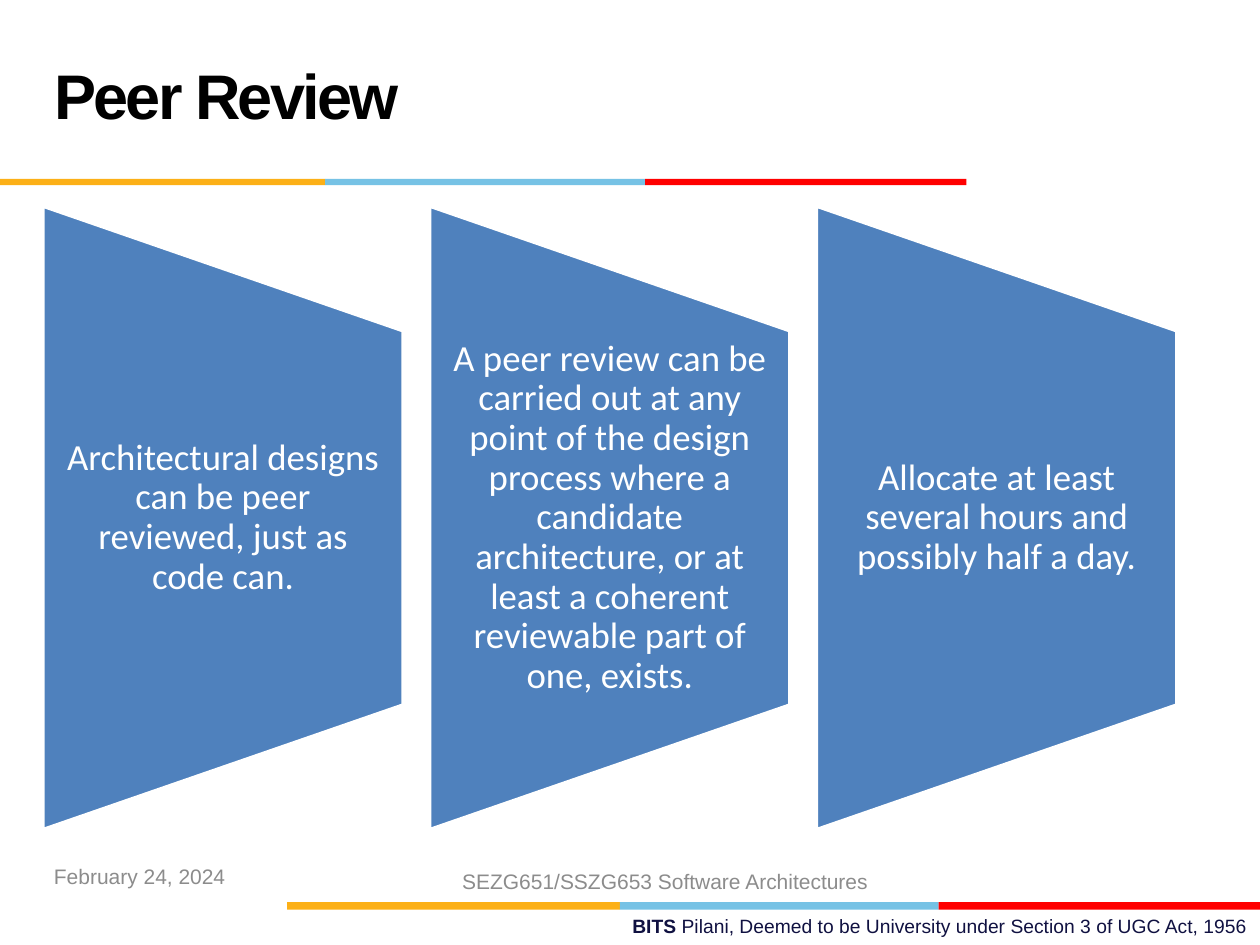
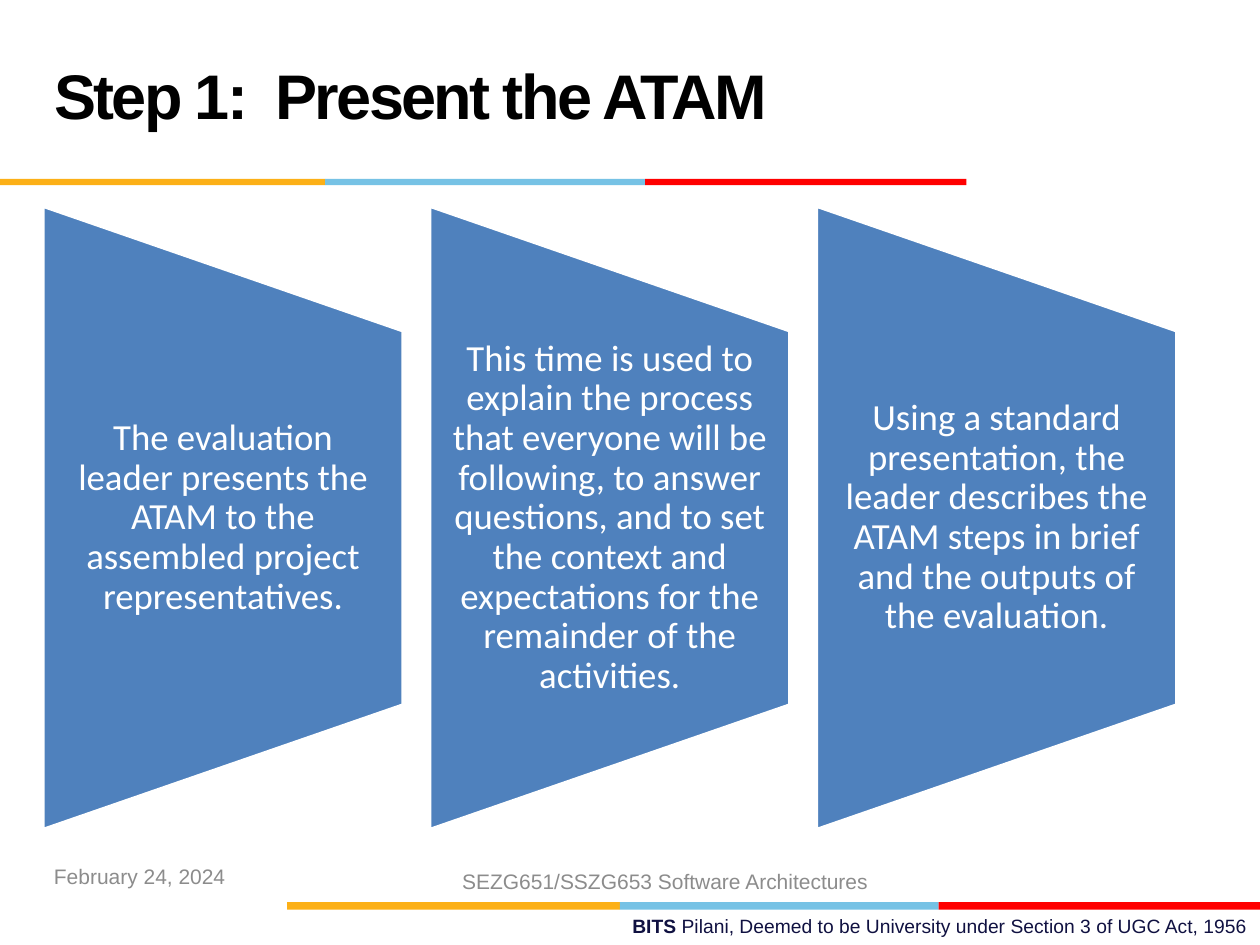
from pptx import Presentation
from pptx.dml.color import RGBColor
from pptx.enum.shapes import MSO_SHAPE
from pptx.enum.text import MSO_ANCHOR, MSO_AUTO_SIZE, PP_ALIGN
from pptx.util import Inches, Pt

LEFT, CENTER, RIGHT = PP_ALIGN.LEFT, PP_ALIGN.CENTER, PP_ALIGN.RIGHT
TOP, MIDDLE = MSO_ANCHOR.TOP, MSO_ANCHOR.MIDDLE
NO_AUTOFIT = MSO_AUTO_SIZE.NONE
RECTANGLE = MSO_SHAPE.RECTANGLE
TRAPEZOID = MSO_SHAPE.FLOWCHART_MANUAL_OPERATION

# Shared colours and fonts
AMBER, SKY, RED = "FCB017", "76C2E5", "FF0000"
PANEL_BLUE, WHITE, BLACK = "4F81BD", "FFFFFF", "000000"
NAVY, GREY = "101141", "8C8C8C"
HEADING_FONT, PANEL_FONT = "Arial", "Calibri"

# Left edges of the three stripe colours, then the right end
HEADER_STRIPE = (0, 2.58, 5.12, 7.67)
FOOTER_STRIPE = (2.28, 4.92, 7.45, 10)

# Panel row
PANEL_LEFT, PANEL_PITCH = 0.34, 3.07
PANEL_WIDTH, PANEL_HEIGHT = 2.86, 4.95
PANEL_MIDDLE = 4.11
PANEL_TEXT_HEIGHT = 2.97

SLIDES = [
    ("Peer Review", [
        "Architectural designs can be peer reviewed, just as code can.",
        "A peer review can be carried out at any point of the design process "
        "where a candidate architecture, or at least a coherent reviewable "
        "part of one, exists.",
        "Allocate at least several hours and possibly half a day.",
    ]),
    ("Step 1:  Present the ATAM", [
        "The evaluation leader presents the ATAM to the assembled project "
        "representatives.",
        "This time is used to explain the process that everyone will be "
        "following, to answer questions, and to set the context and "
        "expectations for the remainder of the activities.",
        "Using a standard presentation, the leader describes the ATAM steps "
        "in brief and the outputs of the evaluation.",
    ]),
]


def color(hex_code):
    return RGBColor.from_string(hex_code)


def write(frame, *parts, size, fill, font=HEADING_FONT, bold=False,
          align=LEFT, anchor=MIDDLE, line_spacing=None, tracking=None):
    """Fill a frame with one paragraph; a (text, bold) part sets its own weight."""
    frame.word_wrap = True
    frame.auto_size = NO_AUTOFIT
    frame.vertical_anchor = anchor
    paragraph = frame.paragraphs[0]
    paragraph.alignment = align
    if line_spacing:
        paragraph.line_spacing = line_spacing
    for part in parts:
        text, weight = (part, bold) if isinstance(part, str) else part
        run = paragraph.add_run()
        run.text = text
        run.font.name = font
        run.font.size = Pt(size)
        run.font.bold = weight
        run.font.color.rgb = color(fill)
        if tracking:
            run._r.get_or_add_rPr().set("spc", str(round(tracking * 100)))


def add_text(slide, left, top, width, height, *parts, side_inset=None, **style):
    frame = slide.shapes.add_textbox(
        Inches(left), Inches(top), Inches(width), Inches(height)).text_frame
    if side_inset is not None:
        frame.margin_left = frame.margin_right = Inches(side_inset)
        frame.margin_top = frame.margin_bottom = 0
    write(frame, *parts, **style)


def add_block(slide, kind, left, top, width, height, fill, outline=None):
    block = slide.shapes.add_shape(
        kind, Inches(left), Inches(top), Inches(width), Inches(height))
    block.shadow.inherit = False
    block.fill.solid()
    block.fill.fore_color.rgb = color(fill)
    if outline:
        block.line.color.rgb = color(outline)
        block.line.width = Pt(2)
    else:
        block.line.fill.background()
    return block


def add_stripe(slide, edges, top, height):
    for start, end, fill in zip(edges, edges[1:], (AMBER, SKY, RED)):
        add_block(slide, RECTANGLE, start, top, end - start, height, fill)


def add_title(slide, text):
    title = slide.shapes.title
    title.left, title.top = Inches(0.33), Inches(0.17)
    title.width, title.height = Inches(6.92), Inches(1.25)
    write(title.text_frame, text, size=36, fill=BLACK, bold=True,
          line_spacing=Pt(36), tracking=-1.5)


def add_footer(slide):
    add_stripe(slide, FOOTER_STRIPE, 7.16, 0.06)
    add_text(slide, 3.58, 7.21, 6.42, 0.29, ("BITS ", True),
             "Pilani, Deemed to be University under Section 3 of UGC Act, 1956",
             size=11, fill=NAVY, align=RIGHT, anchor=TOP)
    add_text(slide, 0.33, 6.75, 2.33, 0.4, "February 24, 2024",
             size=12, fill=GREY)
    add_text(slide, 3.48, 6.79, 3.6, 0.4,
             "SEZG651/SSZG653 Software Architectures",
             size=12, fill=GREY, align=CENTER)


def add_panel(slide, column, statement):
    left = PANEL_LEFT + column * PANEL_PITCH
    # The trapezoid is laid out lying down, then turned about its centre
    trapezoid = add_block(
        slide, TRAPEZOID, left + (PANEL_WIDTH - PANEL_HEIGHT) / 2,
        PANEL_MIDDLE - PANEL_WIDTH / 2, PANEL_HEIGHT, PANEL_WIDTH,
        PANEL_BLUE, outline=WHITE)
    trapezoid.rotation = 270
    add_text(slide, left, PANEL_MIDDLE - PANEL_TEXT_HEIGHT / 2,
             PANEL_WIDTH, PANEL_TEXT_HEIGHT, statement, side_inset=0.15,
             size=21, fill=WHITE, font=PANEL_FONT, align=CENTER,
             line_spacing=0.9)


def main():
    deck = Presentation()
    deck.slide_width, deck.slide_height = Inches(10), Inches(7.5)
    title_only = deck.slide_layouts[5]
    for heading, statements in SLIDES:
        slide = deck.slides.add_slide(title_only)
        add_title(slide, heading)
        add_stripe(slide, HEADER_STRIPE, 1.42, 0.05)
        for column, statement in enumerate(statements):
            add_panel(slide, column, statement)
        add_footer(slide)
    deck.save("out.pptx")


if __name__ == "__main__":
    main()
